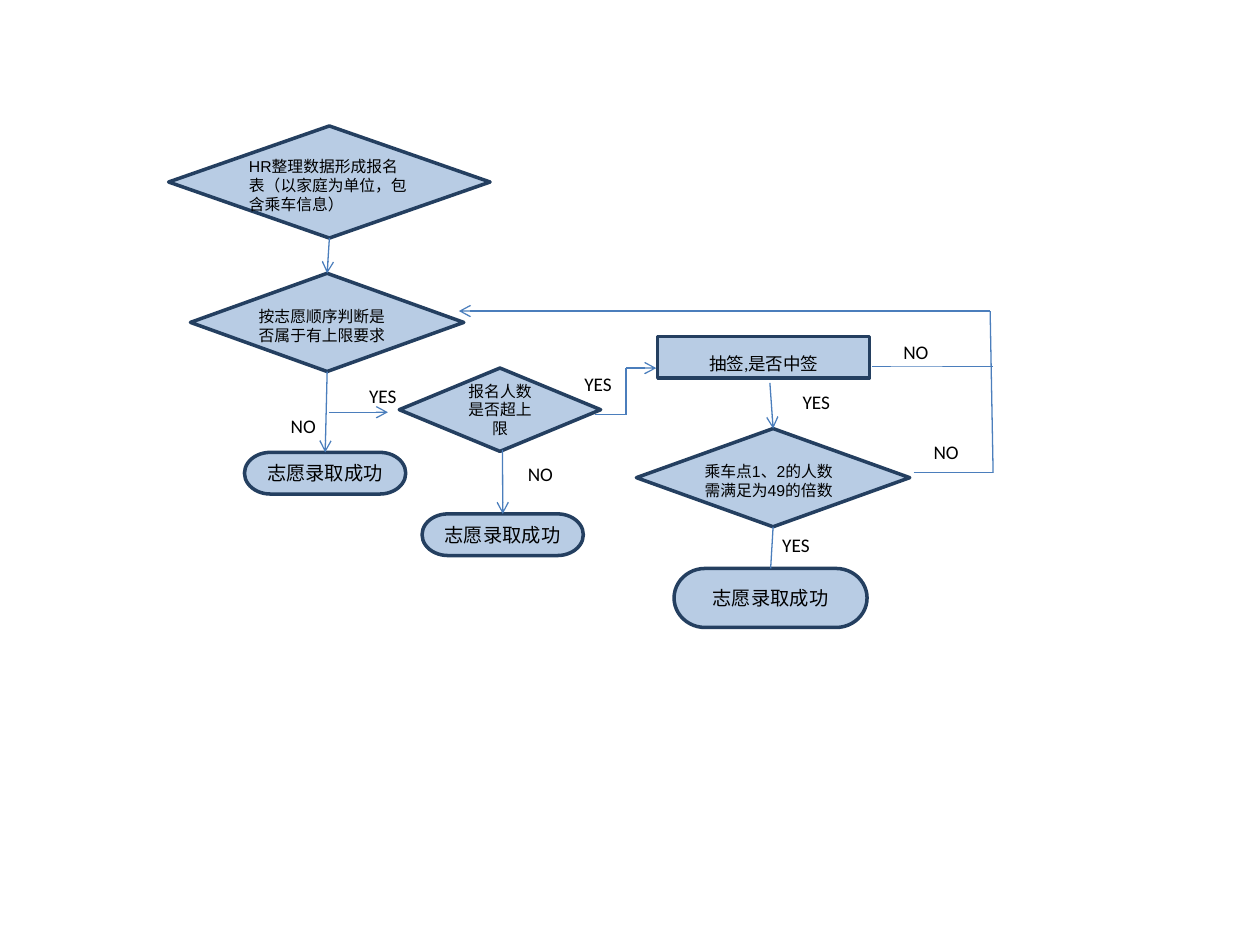
import pptx
import pptx.dml.color
import pptx.enum.shapes
import pptx.enum.text
import pptx.oxml.ns
import pptx.util
from lxml import etree

Cm = pptx.util.Cm
Pt = pptx.util.Pt
RGBColor = pptx.dml.color.RGBColor
Shape = pptx.enum.shapes.MSO_SHAPE
Anchor = pptx.enum.text.MSO_ANCHOR
Align = pptx.enum.text.PP_ALIGN
qn = pptx.oxml.ns.qn

NODE_FILL = RGBColor(0xB8, 0xCC, 0xE4)
NODE_EDGE = RGBColor(0x24, 0x3F, 0x60)
FLOW_BLUE = RGBColor(0x4B, 0x7E, 0xBC)
BLACK = RGBColor(0, 0, 0)
WHITE = RGBColor(0xFF, 0xFF, 0xFF)

TOP, BOTTOM = 0, 2
ACCEPTED = "志愿录取成功"

# Text formats: frame settings, alignment and font of each kind of element
QUESTION = {
    "frame": {"margin_left": 0, "margin_right": 0, "margin_top": Cm(0.13),
              "margin_bottom": 0, "vertical_anchor": Anchor.MIDDLE},
    "align": Align.LEFT,
    "font": {"name": "Arial", "size": Pt(9)},
}
SHORT_QUESTION = {
    "frame": {"margin_top": 0, "margin_bottom": 0, "vertical_anchor": Anchor.MIDDLE},
    "align": Align.CENTER,
    "font": {"name": "Arial", "size": Pt(9)},
}
DRAW = {
    "frame": {"margin_top": Cm(0.25), "margin_bottom": 0,
              "vertical_anchor": Anchor.MIDDLE},
    "align": Align.CENTER,
    "font": {"name": "Calibri", "size": Pt(10)},
}
RESULT = {
    "frame": {"vertical_anchor": Anchor.MIDDLE},
    "align": Align.CENTER,
    "font": {"name": "Calibri", "size": Pt(11)},
}
ANSWER = {
    "frame": {"vertical_anchor": Anchor.TOP},
    "align": Align.LEFT,
    "font": {"name": "Calibri", "size": Pt(11)},
}


def set_text(shape, text, style):
    frame = shape.text_frame
    frame.word_wrap = True
    for name, value in style["frame"].items():
        setattr(frame, name, value)
    paragraph = frame.paragraphs[0]
    paragraph.alignment = style["align"]
    run = paragraph.add_run()
    run.text = text
    for name, value in style["font"].items():
        setattr(run.font, name, value)
    run.font.color.rgb = BLACK


def add_node(slide, preset, box, text, style):
    node = slide.shapes.add_shape(preset, *map(Cm, box))
    node.shadow.inherit = False
    node.fill.solid()
    node.fill.fore_color.rgb = NODE_FILL
    node.line.color.rgb = NODE_EDGE
    node.line.width = Pt(2)
    set_text(node, text, style)
    return node


def add_answer(slide, box, text, on_white=False):
    lengths = [Cm(value) for value in box]
    if on_white:
        answer = slide.shapes.add_shape(Shape.RECTANGLE, *lengths)
        answer.shadow.inherit = False
        answer.fill.solid()
        answer.fill.fore_color.rgb = WHITE
        answer.line.fill.background()
    else:
        answer = slide.shapes.add_textbox(*lengths)
    set_text(answer, text, ANSWER)


def add_flow(slide, start, end, arrow=True, source=None, target=None):
    """Draw a line; source joins by its bottom side, target by its top side."""
    flow = slide.shapes.add_connector(
        pptx.enum.shapes.MSO_CONNECTOR.STRAIGHT, *map(Cm, start + end))
    flow.line.color.rgb = FLOW_BLUE
    flow.line.width = Pt(0.75)
    if arrow:
        etree.SubElement(flow.line._get_or_add_ln(), qn("a:tailEnd"), type="arrow")
    etree.SubElement(flow._element.spPr, qn("a:effectLst"))
    if source is not None:
        flow.begin_connect(source, BOTTOM)
    if target is not None:
        flow.end_connect(target, TOP)


def add_path(slide, points, arrow=False):
    """Chain straight lines through the points, with an arrow on the last."""
    last = len(points) - 2
    for index, (start, end) in enumerate(zip(points, points[1:])):
        add_flow(slide, start, end, arrow and index == last)


def main():
    deck = pptx.Presentation()
    deck.slide_width, deck.slide_height = Cm(25.4), Cm(19.05)
    slide = deck.slides.add_slide(deck.slide_layouts[6])

    # This answer lies beneath the last question and its line
    add_answer(slide, (15.52, 10.62, 1.4, 0.86), "YES", on_white=True)

    # Questions
    diamond = Shape.FLOWCHART_DECISION
    sign_up = add_node(slide, diamond, (3.4, 2.54, 6.48, 2.26),
                       "HR整理数据形成报名表（以家庭为单位，包含乘车信息）", QUESTION)
    has_limit = add_node(slide, diamond, (3.84, 5.51, 5.51, 1.98),
                         "按志愿顺序判断是否属于有上限要求", QUESTION)
    add_node(slide, diamond, (8.05, 7.42, 4.06, 1.68),
             "报名人数是否超上限", SHORT_QUESTION)
    add_node(slide, Shape.FLOWCHART_PROCESS, (13.26, 6.78, 4.27, 0.84),
             "抽签,是否中签", DRAW)
    bus_stops = add_node(slide, diamond, (12.83, 8.64, 5.51, 1.98),
                         "乘车点1、2的人数需满足为49的倍数", QUESTION)

    # Results
    no_limit, under_limit, drawn = [
        add_node(slide, Shape.FLOWCHART_TERMINATOR, box, ACCEPTED, RESULT)
        for box in ((4.93, 9.12, 3.25, 0.84),
                    (8.51, 10.36, 3.25, 0.84),
                    (13.59, 11.46, 3.89, 1.19))]

    # Downward flow
    add_flow(slide, (6.64, 4.8), (6.6, 5.51), source=sign_up, target=has_limit)
    add_flow(slide, (6.6, 7.49), (6.56, 9.12), source=has_limit, target=no_limit)
    add_flow(slide, (10.13, 9.07), (10.13, 10.36), target=under_limit)
    add_flow(slide, (15.52, 7.72), (15.58, 8.64), target=bus_stops)
    add_flow(slide, (15.58, 10.62), (15.54, 11.46), arrow=False,
             source=bus_stops, target=drawn)

    # Flow to the right, then the way back to the next choice
    add_flow(slide, (6.63, 8.31), (7.82, 8.31))
    add_path(slide, [(11.99, 8.36), (12.62, 8.36), (12.62, 7.42), (13.23, 7.42)],
             arrow=True)
    add_path(slide, [(18.42, 9.53), (20.02, 9.53), (19.96, 6.27), (9.25, 6.27)],
             arrow=True)
    add_flow(slide, (17.58, 7.39), (20.02, 7.39), arrow=False)

    # Answers
    for box, text, on_white in (
            ((10.39, 9.19, 1.4, 0.86), "NO", False),
            ((11.53, 7.39, 1.24, 0.69), "YES", False),
            ((5.61, 8.23, 1.4, 0.84), "NO", False),
            ((7.19, 7.62, 1.24, 0.69), "YES", False),
            ((18.57, 8.76, 1.14, 0.64), "NO", True),
            ((15.93, 7.75, 1.4, 0.86), "YES", True),
            ((17.96, 6.73, 1.04, 0.66), "NO", True)):
        add_answer(slide, box, text, on_white)

    deck.save("out.pptx")


if __name__ == "__main__":
    main()
